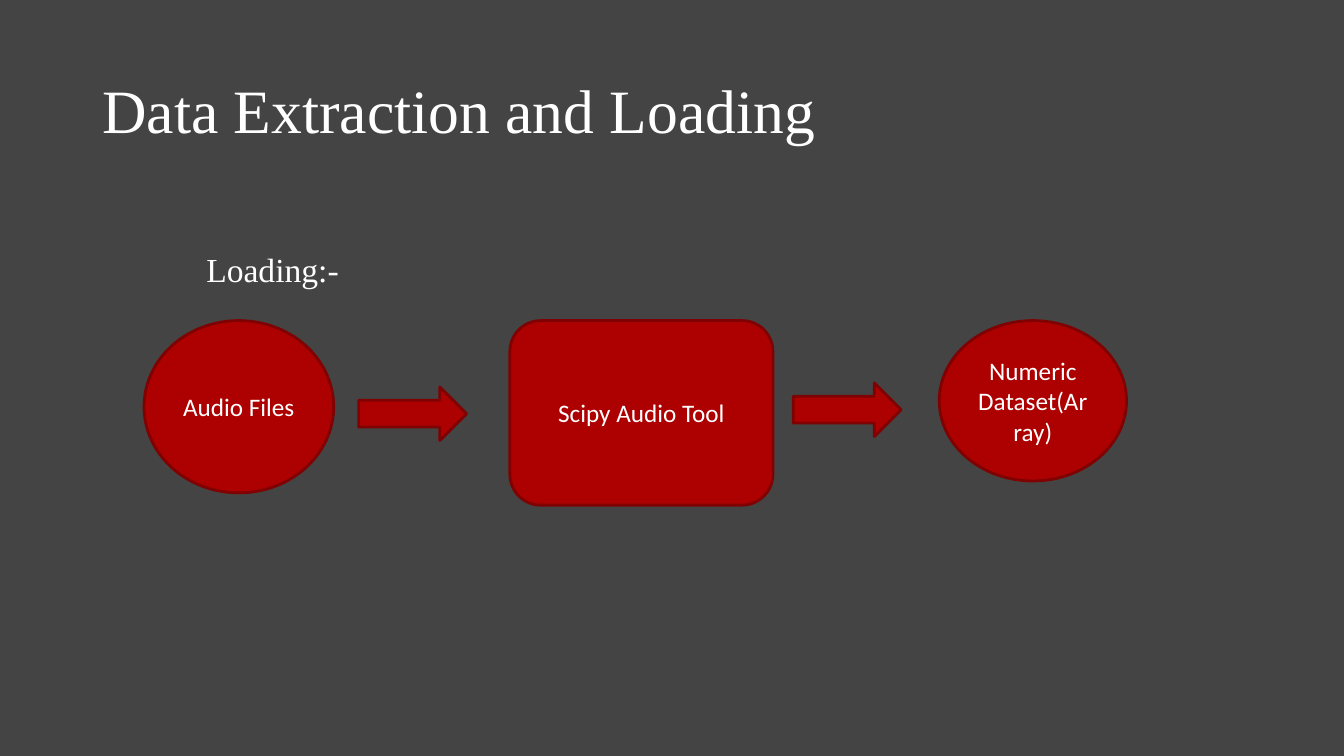
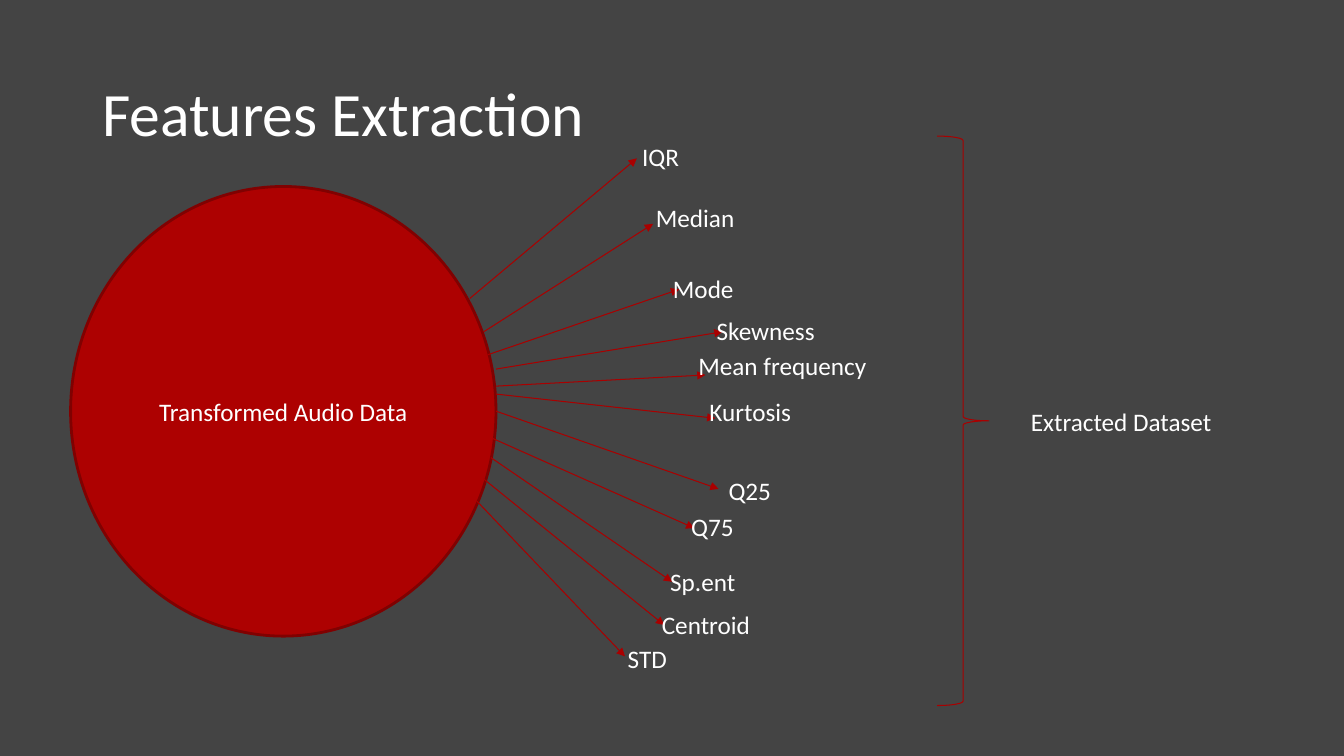
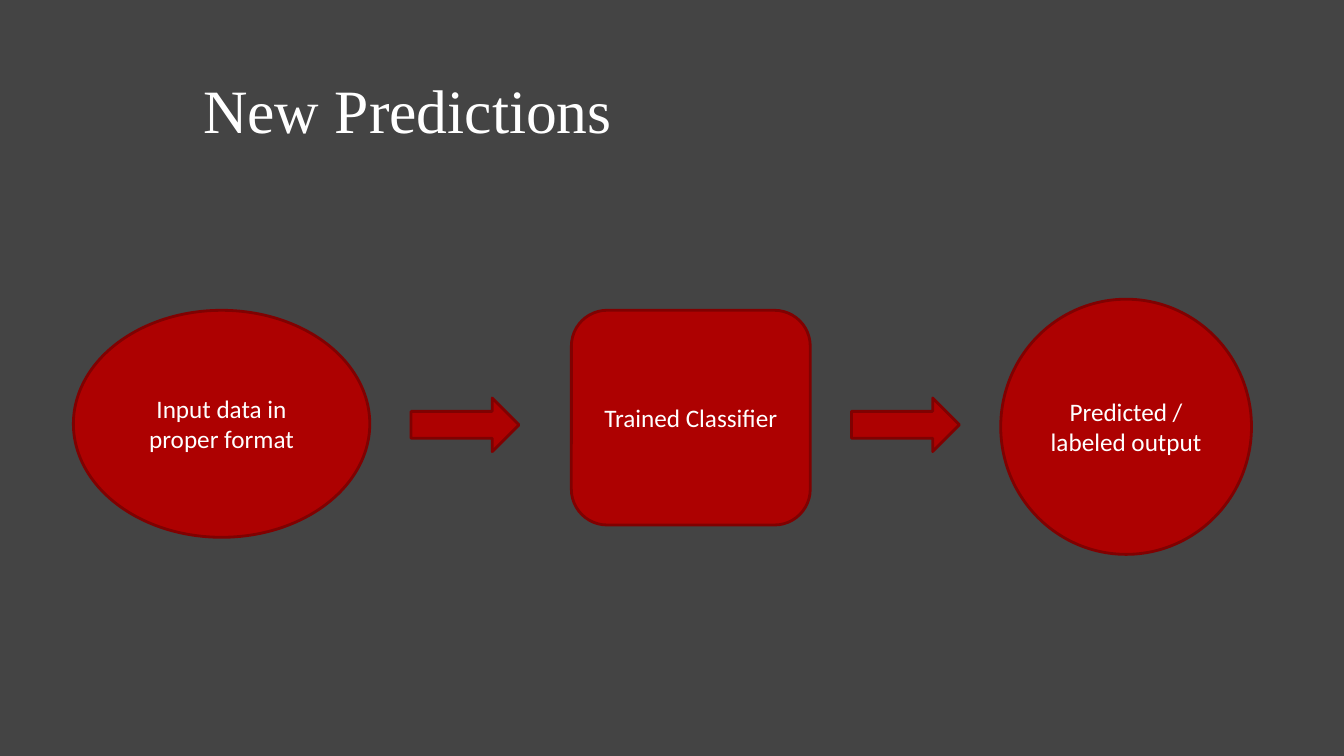
"""Build three slides on audio loading, feature extraction and prediction."""
from lxml.etree import SubElement
from pptx import Presentation
from pptx.dml.color import RGBColor
from pptx.enum.shapes import MSO_CONNECTOR, MSO_SHAPE as SHAPE
from pptx.enum.text import MSO_ANCHOR as ANCHOR, PP_ALIGN as ALIGN
from pptx.oxml.ns import qn
from pptx.util import Cm, Pt

color = RGBColor.from_string
BACKGROUND, WHITE = "444444", "FFFFFF"
RED, DARK_RED, LINE_RED = "AD0101", "800101", "A90000"
SANS, SERIF = "Calibri", "Times New Roman"
TITLE_LEFT, TITLE_WIDTH, TITLE_HEIGHT = 2.33, 29.21, 3.68
ARROW_WIDTH, ARROW_HEIGHT = 2.72, 1.35
LABEL_HEIGHT = 1.02


def add_label(slide, text, left, top, width, height=LABEL_HEIGHT, size=18, font=SANS):
    """Add a left-aligned white text box and return its text frame."""
    frame = slide.shapes.add_textbox(Cm(left), Cm(top), Cm(width), Cm(height)).text_frame
    frame.word_wrap = True
    frame.text = text
    face = frame.paragraphs[0].runs[0].font
    face.size, face.name = Pt(size), font
    face.color.rgb = color(WHITE)
    return frame


def add_block(slide, kind, left, top, width, height, text=""):
    """Add a red outlined shape with optional centred text."""
    block = slide.shapes.add_shape(kind, Cm(left), Cm(top), Cm(width), Cm(height))
    block.shadow.inherit = False
    block.fill.solid()
    block.fill.fore_color.rgb = color(RED)
    block.line.color.rgb = color(DARK_RED)
    block.line.width = Pt(2)
    if text:
        frame = block.text_frame
        frame.text = text
        frame.word_wrap = True
        frame.vertical_anchor = ANCHOR.MIDDLE
        paragraph = frame.paragraphs[0]
        paragraph.alignment = ALIGN.CENTER
        face = paragraph.runs[0].font
        face.size, face.name = Pt(18), SANS
        face.color.rgb = color(WHITE)


prs = Presentation()
prs.slide_width, prs.slide_height = Cm(33.87), Cm(19.05)
backdrop = prs.slide_master.background.fill
backdrop.solid()
backdrop.fore_color.rgb = color(BACKGROUND)

titles = [
    ("Data Extraction and Loading", 1.02, SERIF, 0.25),
    ("Features Extraction", 1.1, SANS, 0.25),
    ("New Predictions", 1.02, SERIF, 2.79),
]
slides = []
for title, top, font, indent in titles:
    slide = prs.slides.add_slide(prs.slide_layouts[6])
    heading = add_label(slide, title, TITLE_LEFT, top, TITLE_WIDTH, TITLE_HEIGHT, 44, font)
    heading.vertical_anchor = ANCHOR.MIDDLE
    heading.margin_left = Cm(indent)
    heading.paragraphs[0].line_spacing = 0.9
    slides.append(slide)
loading, extraction, prediction = slides

flows = [
    (loading, [
        (SHAPE.OVAL, 3.63, 8.08, 4.78, 4.34, "Audio Files"),
        (SHAPE.ROUNDED_RECTANGLE, 12.85, 8.08, 6.63, 4.65, "Scipy Audio Tool"),
        (SHAPE.OVAL, 23.67, 8.08, 4.72, 4.04, "Numeric Dataset(Array)"),
    ], [(9.04, 9.75), (19.99, 9.65)]),
    (prediction, [
        (SHAPE.OVAL, 1.85, 7.82, 7.47, 5.72, "Input data in proper format"),
        (SHAPE.ROUNDED_RECTANGLE, 14.4, 7.82, 6.02, 5.41, "Trained Classifier"),
        (SHAPE.OVAL, 25.22, 7.54, 6.32, 6.43, "Predicted / labeled output"),
    ], [(10.36, 10.03), (21.46, 10.03)]),
]
for slide, stages, arrows in flows:
    for stage in stages:
        add_block(slide, *stage)
    for left, top in arrows:
        add_block(slide, SHAPE.RIGHT_ARROW, left, top, ARROW_WIDTH, ARROW_HEIGHT)

add_label(loading, "Loading:-", 4.95, 6.15, 4, 1.27, 24, SERIF)

add_block(extraction, SHAPE.OVAL, 1.78, 4.7, 10.72, 11.33, "Transformed Audio Data")
features = [
    ("IQR", (15.93, 3.43, 1.63), (11.84, 7.52, 16.05, 3.99)),
    ("Median", (16.28, 4.98, 2.79), (12.19, 8.36, 16.46, 5.64)),
    ("Mode", (16.71, 6.76, 2.24), (12.29, 8.94, 17.12, 7.29)),
    ("Skewness", (17.81, 7.82, 3.61), (12.5, 9.3, 18.21, 8.36)),
    ("Mean frequency", (17.35, 8.71, 5.61), (12.5, 9.73, 17.78, 9.45)),
    ("Kurtosis", (17.63, 9.86, 3.02), (12.5, 9.93, 18.03, 10.54)),
    ("Q25", (18.11, 11.86, 1.8), (12.5, 10.36, 18.11, 12.32)),
    ("Q75", (17.17, 12.75, 1.8), (12.42, 11.05, 17.5, 13.31)),
    ("Sp.ent", (16.64, 14.15, 2.54), (12.37, 11.53, 16.94, 14.66)),
    ("Centroid", (16.43, 15.24, 3.2), (12.19, 12.07, 16.74, 15.75)),
    ("STD", (15.57, 16.08, 1.78), (12.01, 12.62, 15.75, 16.54)),
]
for feature, place, ends in features:
    ray = extraction.shapes.add_connector(MSO_CONNECTOR.STRAIGHT, *map(Cm, ends))
    ray.line.color.rgb = color(LINE_RED)
    ray.line.width = Pt(0.75)
    SubElement(ray.line._get_or_add_ln(), qn("a:tailEnd"), type="triangle")
    SubElement(ray._element.spPr, qn("a:effectLst"))
    add_label(extraction, feature, *place)

brace = extraction.shapes.add_shape(SHAPE.RIGHT_BRACE, Cm(23.62), Cm(3.43), Cm(1.3), Cm(14.35))
brace.shadow.inherit = False
brace.fill.background()
brace.line.color.rgb = color(LINE_RED)
brace.line.width = Pt(0.75)
add_label(extraction, "Extracted Dataset", 25.73, 10.11, 6.25)

prs.save("out.pptx")
